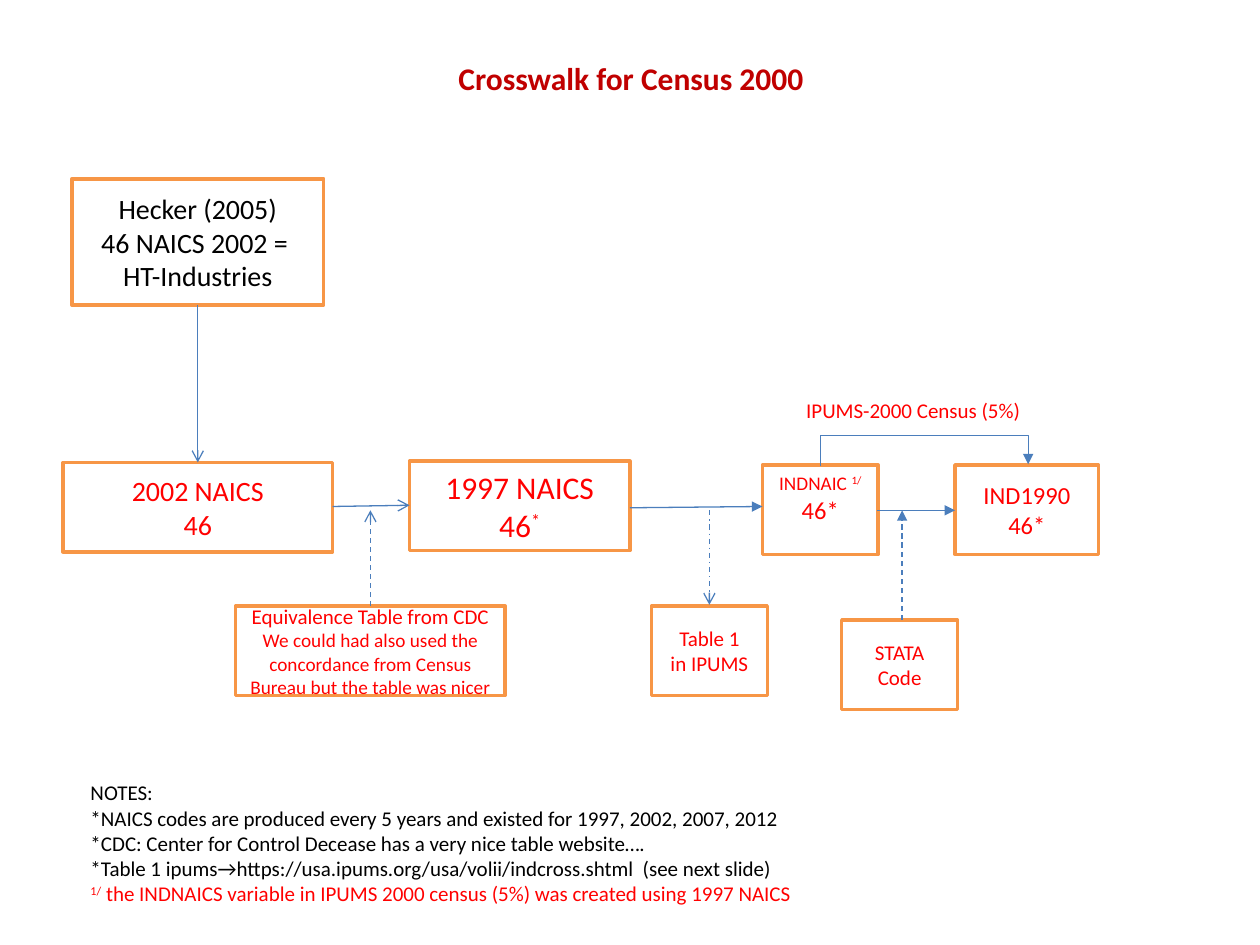
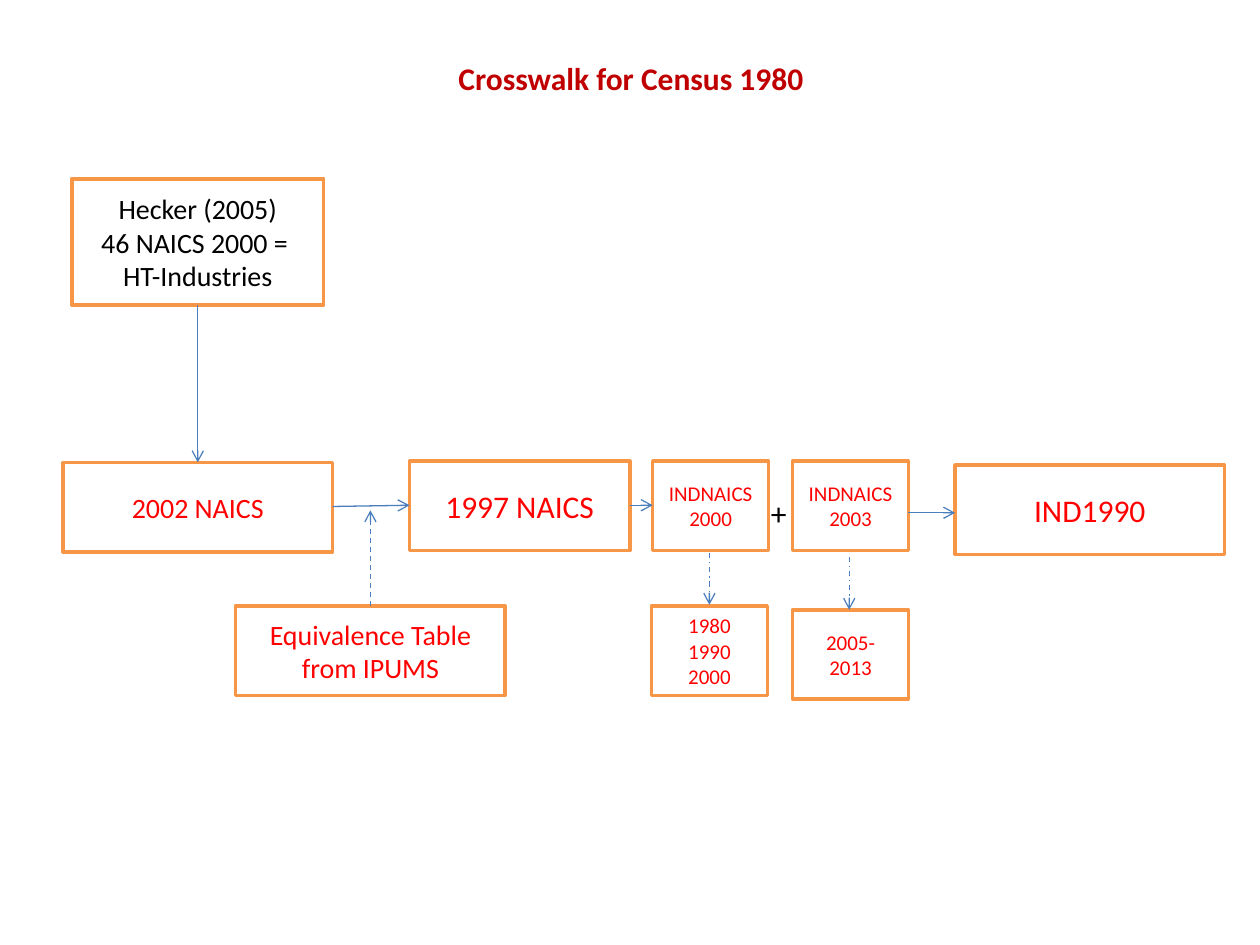
from typing import NamedTuple

from lxml import etree
from pptx import Presentation
from pptx.dml.color import RGBColor
from pptx.enum.dml import MSO_LINE
from pptx.enum.shapes import MSO_CONNECTOR, MSO_SHAPE
from pptx.enum.text import MSO_ANCHOR, MSO_AUTO_SIZE, PP_ALIGN
from pptx.oxml.ns import qn
from pptx.util import Inches, Pt

RECTANGLE = MSO_SHAPE.RECTANGLE
STRAIGHT, ELBOW = MSO_CONNECTOR.STRAIGHT, MSO_CONNECTOR.ELBOW
DASH, DASH_DOT = MSO_LINE.DASH, MSO_LINE.DASH_DOT
MIDDLE = MSO_ANCHOR.MIDDLE
LEFT, CENTER = PP_ALIGN.LEFT, PP_ALIGN.CENTER
GROW = MSO_AUTO_SIZE.SHAPE_TO_FIT_TEXT

FONT = "Calibri"
WHITE, BLACK, RED, DARK_RED = "FFFFFF", "000000", "FF0000", "C00000"
ORANGE, BLUE = "F79646", "4B7EBC"
BOX_HEIGHT = 0.71
WIDE, NARROW = 2.14, 0.92


class Line(NamedTuple):
    text: str
    size: int
    color: str = RED


def lines(size, *texts, color=RED):
    return [Line(text, size, color) for text in texts]


def rgb(color):
    return RGBColor.from_string(color)


class FlowDeck:
    def __init__(self):
        self.deck = Presentation()
        self.deck.slide_width = Inches(10)
        self.deck.slide_height = Inches(7.5)
        self.page = None

    def new_page(self, title):
        self.page = self.deck.slides.add_slide(self.deck.slide_layouts[6])
        self.label(3.54, 0.42, 2.96, 0.4, lines(18, title, color=DARK_RED), bold=True)

    def fill_text(self, frame, content, align, bold=False):
        for index, line in enumerate(content):
            para = frame.paragraphs[0] if index == 0 else frame.add_paragraph()
            para.alignment = align
            para.font.name = FONT
            para.font.size = Pt(line.size)
            para.font.bold = bold
            para.font.color.rgb = rgb(line.color)
            for position, part in enumerate(line.text.split("^")):
                if part:
                    span = para.add_run()
                    span.text = part
                    if position % 2:
                        span._r.get_or_add_rPr().set("baseline", "30000")

    def label(self, left, top, width, height, content, bold=False):
        box = self.page.shapes.add_textbox(
            Inches(left), Inches(top), Inches(width), Inches(height))
        box.text_frame.word_wrap = False
        box.text_frame.auto_size = GROW
        self.fill_text(box.text_frame, content, LEFT, bold)

    def box(self, left, top, width, content, height=BOX_HEIGHT, bottom_margin=0.05):
        box = self.page.shapes.add_shape(
            RECTANGLE, Inches(left), Inches(top), Inches(width), Inches(height))
        box.shadow.inherit = False
        box.fill.solid()
        box.fill.fore_color.rgb = rgb(WHITE)
        box.line.color.rgb = rgb(ORANGE)
        box.line.width = Pt(2)
        frame = box.text_frame
        frame.word_wrap = True
        frame.vertical_anchor = MIDDLE
        frame.margin_bottom = Inches(bottom_margin)
        self.fill_text(frame, content, CENTER)

    def arrow(self, start, end, dash=None, head="arrow", kind=STRAIGHT):
        link = self.page.shapes.add_connector(
            kind, *(Inches(value) for value in (*start, *end)))
        link.line.color.rgb = rgb(BLUE)
        link.line.width = Pt(0.75)
        if dash:
            link.line.dash_style = dash
        properties = link._element.spPr
        etree.SubElement(properties.find(qn("a:ln")), qn("a:tailEnd"), type=head)
        etree.SubElement(properties, qn("a:effectLst"))
        return properties

    def bridge(self, left, right, base, rise):
        depth = 0.01
        middle, half = (left + right) / 2, (right - left) / 2
        properties = self.arrow(
            (middle + depth / 2, base + half), (middle - depth / 2, base - half),
            head="triangle", kind=ELBOW)
        properties.find(qn("a:xfrm")).set("rot", "5400000")
        guides = properties.find(qn("a:prstGeom")).get_or_add_avLst()
        ratio = round(rise / depth * 100000)
        etree.SubElement(guides, qn("a:gd"), name="adj1", fmla=f"val {ratio}")

    def naics_chain(self, year, count, equivalence):
        self.box(0.57, 1.42, 2, lines(
            16, "Hecker (2005)", f"46 NAICS {year} = ", "HT-Industries",
            color=BLACK), height=1)
        self.box(3.25, 3.66, 1.75, lines(18, "1997 NAICS", *(f"{n}^*" for n in count)))
        self.box(0.5, 3.67, WIDE, lines(16, "2002 NAICS", *count))
        self.box(1.87, 4.81, WIDE, equivalence)
        self.arrow((1.57, 2.42), (1.57, 3.67))
        self.arrow((2.94, 4.81), (2.94, 4.05), DASH)
        self.arrow((2.64, 4.02), (3.25, 4.01))


def census_2000(flow):
    flow.new_page("Crosswalk for Census 2000")
    flow.naics_chain(2002, ["46"], [
        Line("Equivalence Table from CDC", 12),
        Line("We could had also used the concordance from Census Bureau "
             "but the table was nicer", 11)])
    flow.box(7.58, 3.69, 1.14, lines(14, "IND1990", "46*"))
    flow.box(5.17, 4.81, NARROW, lines(12, "Table 1", "in IPUMS"))
    flow.box(6.05, 3.69, NARROW, [Line("INDNAIC ^1/", 11), Line("46*", 14)],
             bottom_margin=0.24)
    flow.box(6.68, 4.92, NARROW, lines(12, "STATA", "Code"))
    flow.arrow((5.63, 4.05), (5.63, 4.8), DASH_DOT)
    flow.arrow((5, 4.03), (6.05, 4.02), head="triangle")
    flow.arrow((6.96, 4.05), (7.58, 4.05), head="triangle")
    flow.arrow((7.16, 4.92), (7.16, 4.05), DASH, head="triangle")
    flow.bridge(6.51, 8.16, 3.69, 0.24)
    flow.label(6.3, 3.11, 1.92, 0.3, lines(12, "IPUMS-2000 Census (5%)"))
    notes = lines(
        12,
        "NOTES:",
        "*NAICS codes are produced every 5 years and existed for 1997, 2002, 2007, 2012",
        "*CDC: Center for Control Decease has a very nice table website….",
        "*Table 1 ipums→https://usa.ipums.org/usa/volii/indcross.shtml  (see next slide)",
        color=BLACK)
    notes += lines(12, "^1/^ the INDNAICS variable in IPUMS 2000 census (5%) "
                       "was created using 1997 NAICS")
    flow.label(0.62, 6.14, 5.9, 1.11, notes)


def census_1980(flow):
    flow.new_page("Crosswalk for Census 1980")
    flow.naics_chain(2000, [], lines(16, "Equivalence Table from IPUMS"))
    flow.box(7.58, 3.69, WIDE, lines(18, "IND1990"))
    flow.box(5.17, 4.81, NARROW, lines(12, "1980", "1990", "2000"))
    flow.box(6.29, 4.84, NARROW, lines(12, "2005-2013"))
    for left, year in ((5.18, "2000"), (6.29, "2003")):
        flow.box(left, 3.66, NARROW, lines(12, "INDNAICS", year))
    flow.arrow((5, 4.01), (5.18, 4.01))
    flow.arrow((7.21, 4.07), (7.58, 4.07))
    flow.arrow((5.63, 4.39), (5.63, 4.8), DASH_DOT)
    flow.arrow((6.74, 4.42), (6.74, 4.84), DASH_DOT)
    flow.label(6.02, 3.87, 0.33, 0.4, lines(18, "+", color=BLACK))


def main():
    flow = FlowDeck()
    census_2000(flow)
    census_1980(flow)
    flow.deck.save("out.pptx")


if __name__ == "__main__":
    main()
